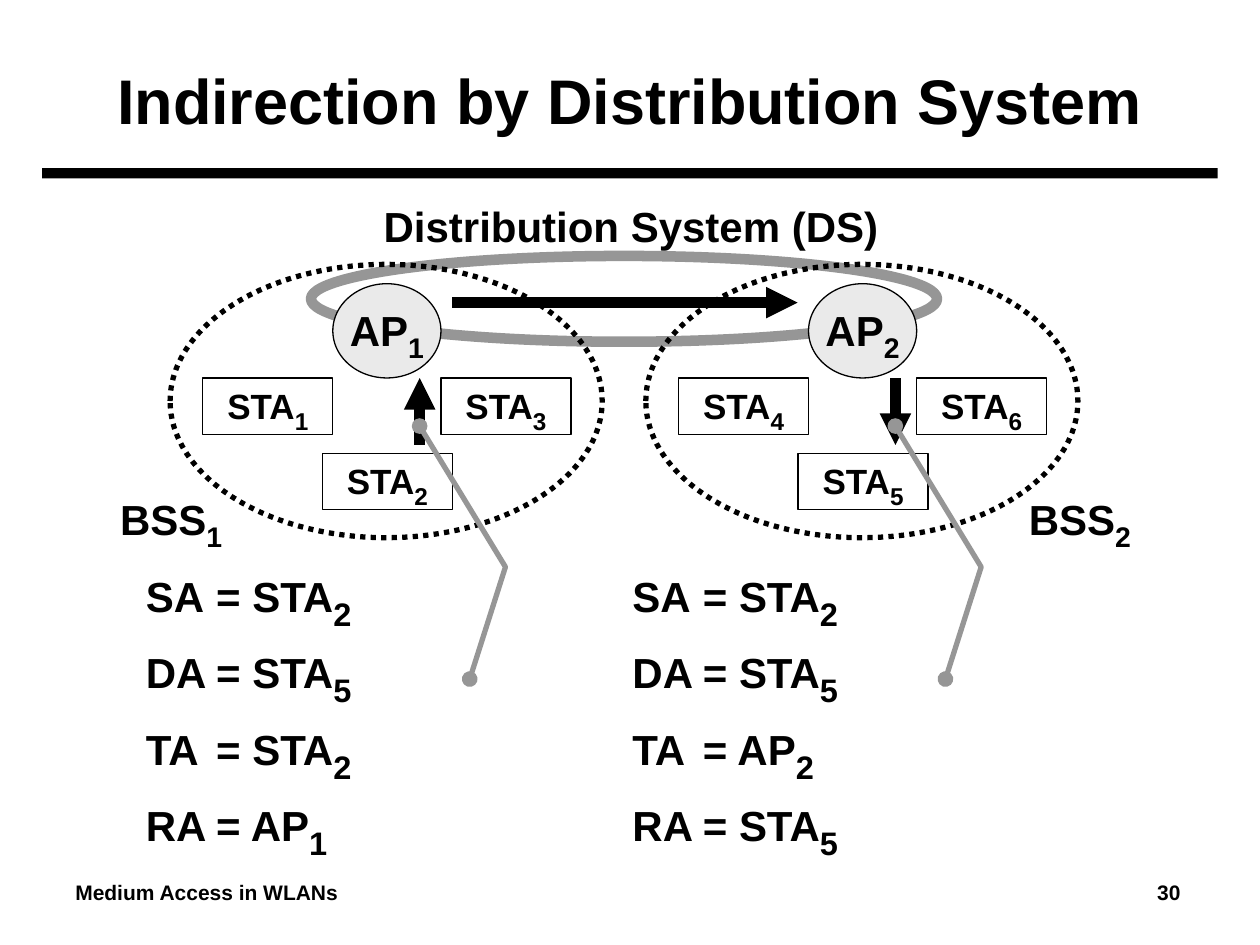
from lxml import etree
from pptx import Presentation
from pptx.dml.color import RGBColor
from pptx.enum.dml import MSO_LINE
from pptx.enum.shapes import MSO_CONNECTOR, MSO_SHAPE
from pptx.enum.text import MSO_ANCHOR, MSO_AUTO_SIZE, PP_ALIGN
from pptx.oxml.ns import qn
from pptx.util import Cm, Pt

RECTANGLE = MSO_SHAPE.RECTANGLE
OVAL = MSO_SHAPE.OVAL
STRAIGHT = MSO_CONNECTOR.STRAIGHT
DOTTED = MSO_LINE.ROUND_DOT
MIDDLE = MSO_ANCHOR.MIDDLE
GROW = MSO_AUTO_SIZE.SHAPE_TO_FIT_TEXT
LEFT, CENTER = PP_ALIGN.LEFT, PP_ALIGN.CENTER

COLORS = {"ink": "000000", "paper": "FFFFFF", "gray": "969696", "light": "EAEAEA"}
BSS_STEP = 9.59
HANGING = 1.42
ADDRESSES = (
    (2.69, ("SA\t= STA_2", "DA\t= STA_5", "TA\t= STA_2", "RA\t= AP_1")),
    (12.5, ("SA\t= STA_2", "DA\t= STA_5", "TA\t= AP_2", "RA\t= STA_5")),
)


def color(name):
    return RGBColor.from_string(COLORS[name])


def add_run(paragraph, text, size):
    run = paragraph.add_run()
    run.text = text
    formats = {"name": "Arial", "size": Pt(size), "bold": True}
    for attribute, value in formats.items():
        setattr(run.font, attribute, value)
    run.font.color.rgb = color("ink")
    return run


def add_labels(shape, labels, size, sub_size=28, alignment=CENTER, wrap=False, fit=None):
    frame = shape.text_frame
    formats = {"word_wrap": wrap, "vertical_anchor": MIDDLE, "auto_size": fit}
    for attribute, value in formats.items():
        setattr(frame, attribute, value)
    for index, label in enumerate(labels):
        paragraph = frame.add_paragraph() if index else frame.paragraphs[0]
        paragraph.alignment = alignment
        base, _, subscript = label.partition("_")
        add_run(paragraph, base, size)
        if subscript:
            run = add_run(paragraph, subscript, sub_size)
            run.font._element.set("baseline", "-25000")


def add_text(slide, box, labels, size, **options):
    shape = slide.shapes.add_textbox(*map(Cm, box))
    add_labels(shape, labels, size, **options)
    return shape


def style_line(line, name, width, ends=()):
    line.color.rgb = color(name)
    line.width = Pt(width)
    for end, kind in ends:
        etree.SubElement(line._get_or_add_ln(), qn(f"a:{end}")).set("type", kind)


def add_outline(slide, kind, box, fill=None, line="ink", width=0.75):
    shape = slide.shapes.add_shape(kind, *map(Cm, box))
    shape.shadow.inherit = False
    if fill:
        shape.fill.solid()
        shape.fill.fore_color.rgb = color(fill)
    else:
        shape.fill.background()
    style_line(shape.line, line, width)
    return shape


def add_arrow(slide, start, end):
    arrow = slide.shapes.add_connector(STRAIGHT, *map(Cm, start + end))
    style_line(arrow.line, "ink", 6, [("tailEnd", "triangle")])
    etree.SubElement(arrow._element.spPr, qn("a:effectLst"))


def add_callout(slide, points):
    start, *others = [(Cm(x), Cm(y)) for x, y in points]
    builder = slide.shapes.build_freeform(*start)
    builder.add_line_segments(others, close=False)
    callout = builder.convert_to_shape()
    callout.shadow.inherit = False
    callout.fill.background()
    style_line(callout.line, "gray", 3, [("headEnd", "oval"), ("tailEnd", "oval")])


def add_bss(slide, index):
    shift = index * BSS_STEP
    stations = ((4.09, 7.62), (6.5, 9.14), (8.89, 7.62))
    for number, (left, top) in enumerate(stations, 3 * index + 1):
        station = add_outline(slide, RECTANGLE, (left + shift, top, 2.62, 1.14), "paper")
        add_labels(station, [f"STA_{number}"], 20, 24)
    access_point = add_outline(slide, OVAL, (6.71 + shift, 5.72, 2.18, 1.9), "light")
    add_labels(access_point, [f"AP_{index + 1}"], 24)
    cell = add_outline(slide, OVAL, (3.43 + shift, 5.33, 8.71, 5.51), width=3)
    cell.line.dash_style = DOTTED


def add_addresses(slide, left, lines):
    shape = add_text(slide, (left, 11.1, 7.57, 6.4), lines, 24, sub_size=32, alignment=LEFT)
    for paragraph in shape.text_frame.paragraphs:
        properties = paragraph._p.get_or_add_pPr()
        properties.set("marL", str(Cm(HANGING)))
        properties.set("indent", str(-Cm(HANGING)))


def add_footer(slide):
    shape = add_text(slide, (1.27, 17.35, 22.86, 1.27), ["Medium Access in WLANs\t30"],
                     12, alignment=LEFT)
    properties = shape.text_frame.paragraphs[0]._p.get_or_add_pPr()
    tabs = etree.SubElement(properties, qn("a:tabLst"))
    etree.SubElement(tabs, qn("a:tab"), pos=str(Cm(22.28)), algn="r")


def main():
    presentation = Presentation()
    presentation.slide_width, presentation.slide_height = Cm(25.4), Cm(19.05)
    slide = presentation.slides.add_slide(presentation.slide_layouts[6])

    rule = add_outline(slide, RECTANGLE, (0.85, 3.39, 23.7, 0.21), "ink")
    rule.line.fill.background()
    add_footer(slide)
    add_text(slide, (1.27, 0.64, 22.86, 2.74), ["Indirection by Distribution System"],
             36, wrap=True)

    add_outline(slide, OVAL, (6.27, 5.16, 12.62, 1.73), line="gray", width=6)
    for index in range(2):
        add_bss(slide, index)
    for number, left in enumerate((2.13, 20.45), 1):
        add_text(slide, (left, 9.68, 2.64, 1.6), [f"BSS_{number}"], 24, fit=GROW)

    receiver = 8.46 + BSS_STEP
    add_arrow(slide, (8.46, 8.97), (8.46, 7.62))
    add_arrow(slide, (9.12, 6.1), (16.08, 6.1))
    add_arrow(slide, (receiver, 7.62), (receiver, 8.97))
    add_text(slide, (7.44, 3.94, 10.56, 1.24), ["Distribution System (DS)"], 24, fit=GROW)

    for index, (left, lines) in enumerate(ADDRESSES):
        shift = index * BSS_STEP
        add_callout(slide, [(8.46 + shift, 8.59), (10.19 + shift, 11.43),
                            (9.47 + shift, 13.69)])
        add_addresses(slide, left, lines)

    presentation.save("out.pptx")


if __name__ == "__main__":
    main()
